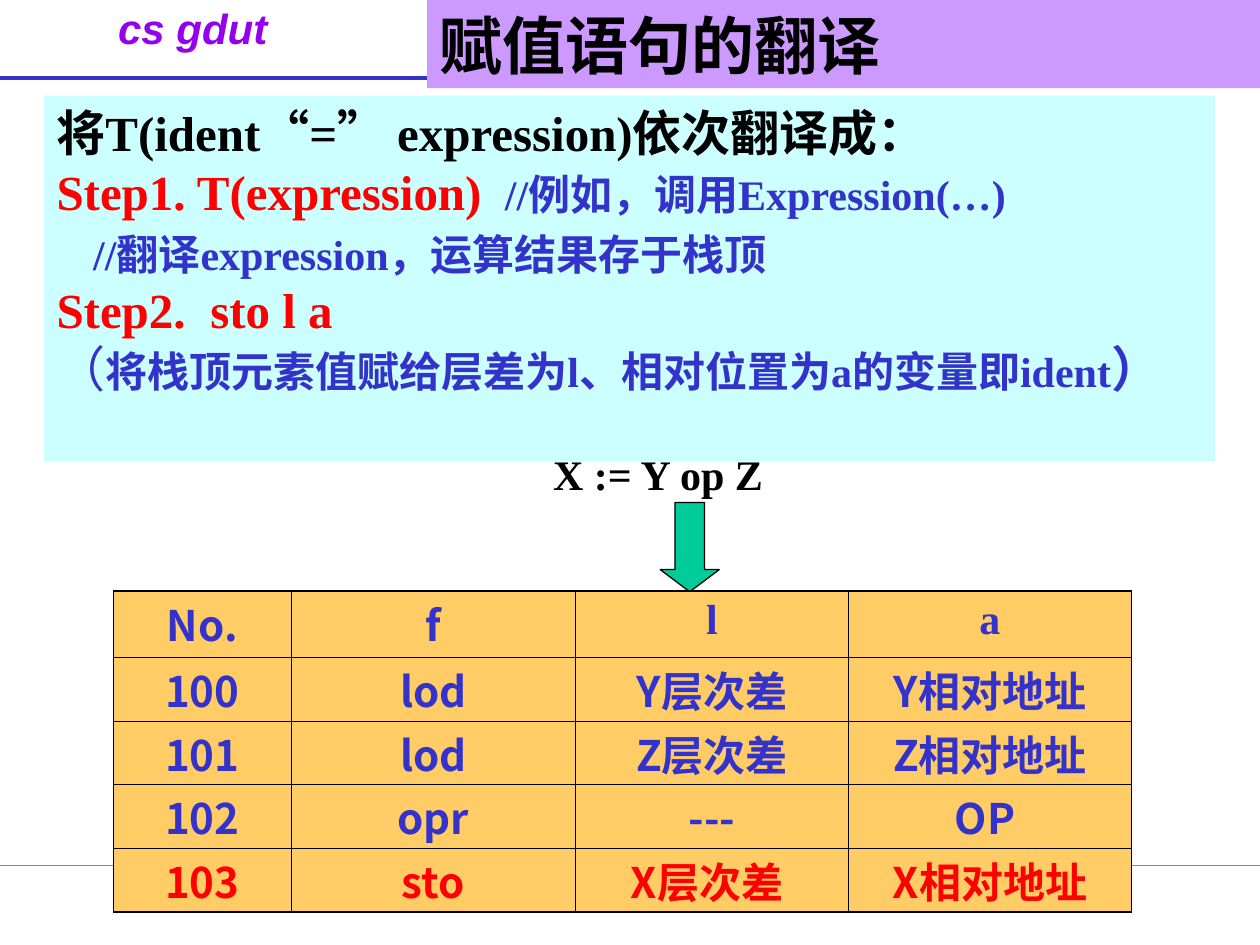
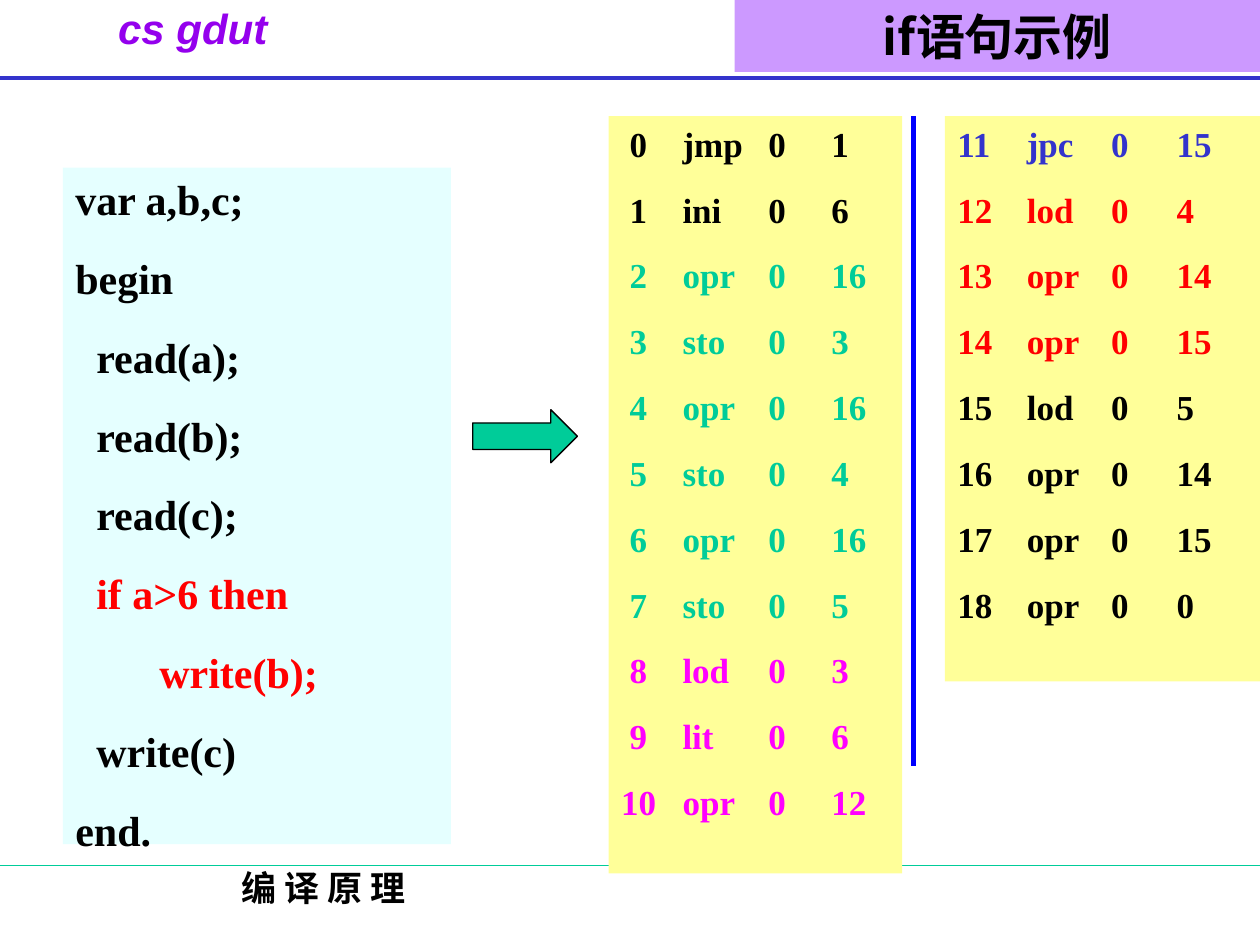
from dataclasses import dataclass

from lxml import etree
from pptx import Presentation
from pptx.dml.color import RGBColor
from pptx.enum.shapes import MSO_CONNECTOR, MSO_SHAPE
from pptx.enum.text import MSO_ANCHOR, MSO_AUTO_SIZE, PP_ALIGN
from pptx.oxml.ns import qn
from pptx.util import Cm, Pt

RECT, DOWN, RIGHT = MSO_SHAPE.RECTANGLE, MSO_SHAPE.DOWN_ARROW, MSO_SHAPE.RIGHT_ARROW
STRAIGHT = MSO_CONNECTOR.STRAIGHT
TOP, MIDDLE = MSO_ANCHOR.TOP, MSO_ANCHOR.MIDDLE
LEFT, CENTER = PP_ALIGN.LEFT, PP_ALIGN.CENTER
FIXED = MSO_AUTO_SIZE.NONE


@dataclass(frozen=True)
class Theme:
    black: str = "000000"
    red: str = "FF0000"
    blue: str = "3333CC"
    green: str = "00CC99"
    pink: str = "FF00FF"
    violet: str = "9400ED"
    band: str = "CC99FF"
    aqua: str = "CCFFFF"
    yellow: str = "FFFF99"
    orange: str = "FFCC66"
    divide: str = "0000FF"
    serif: str = "Times New Roman"
    sans: str = "Arial"
    han: str = "Noto Sans CJK SC"
    title: int = 36
    head: int = 28
    body: int = 24
    small: int = 20


T = Theme()


def write(para, parts, font=T.serif, tabs=(), align=LEFT):
    """Fill a paragraph with (text, size, colour) runs and tab stops in cm."""
    para.alignment = align
    if tabs:
        stops = etree.SubElement(para._p.get_or_add_pPr(), qn("a:tabLst"))
        for stop in tabs:
            etree.SubElement(stops, qn("a:tab"), pos=str(Cm(stop)), algn="l")
    for text, size, color in parts:
        run = para.add_run()
        run.text = text
        run.font.name, run.font.size, run.font.bold = font, Pt(size), True
        run.font.color.rgb = RGBColor.from_string(color)
        etree.SubElement(run.font._element, qn("a:ea"), typeface=T.han)


def block(slide, box, fill=None, kind=RECT, line=None):
    """Add a shape, or a plain text box when there is no fill."""
    place = [Cm(n) for n in box]
    if fill is None:
        shape = slide.shapes.add_textbox(*place)
    else:
        shape = slide.shapes.add_shape(kind, *place)
        shape.shadow.inherit = False
        shape.fill.solid()
        shape.fill.fore_color.rgb = RGBColor.from_string(fill)
        if line:
            shape.line.color.rgb = RGBColor.from_string(line)
            shape.line.width = Pt(0.75)
        else:
            shape.line.fill.background()
    shape.text_frame.word_wrap = True
    shape.text_frame.vertical_anchor = TOP
    return shape


deck = Presentation()
deck.slide_width, deck.slide_height = Cm(25.4), Cm(19.05)
layout = deck.slide_layouts[5]

# Titles
titles = [
    ("赋值语句的翻译", (8.61, 0, 16.79, 1.78), T.title, T.serif, LEFT),
    ("if语句示例", (14.81, 0, 10.59, 1.45), T.head, T.han, CENTER),
]
slides = []
for text, box, size, font, align in titles:
    slide = deck.slides.add_slide(layout)
    title = slide.shapes.title
    title.left, title.top, title.width, title.height = [Cm(n) for n in box]
    title.fill.solid()
    title.fill.fore_color.rgb = RGBColor.from_string(T.band)
    frame = title.text_frame
    frame.auto_size, frame.vertical_anchor = FIXED, MIDDLE
    write(frame.paragraphs[0], [(text, size, T.black)], font, align=align)
    slides.append(slide)
assign, sample = slides

# Shared header and footer, kept on the layout
mark = block(assign, (0.48, -0.08, 6.81, 1.57))
write(mark.text_frame.paragraphs[0], [("cs gdut", T.body, T.violet)], T.sans, align=CENTER)
mark.text_frame.paragraphs[0].runs[0].font.italic = True
foot = block(assign, (1.27, 17.25, 10.52, 1.27))
foot.text_frame.vertical_anchor = MIDDLE
write(foot.text_frame.paragraphs[0], [("编 译 原 理", T.small, T.black)], align=CENTER)
shared = [mark, foot]

rules = [
    (assign, (0, 1.57, 25.4, 1.57), T.blue, 2.25),
    (assign, (0, 17.45, 25.4, 17.45), T.green, 0.75),
    (sample, (18.42, 2.34, 18.42, 15.44), T.divide, 3),
]
for slide, ends, color, width in rules:
    rule = slide.shapes.add_connector(STRAIGHT, *[Cm(n) for n in ends])
    rule.line.color.rgb = RGBColor.from_string(color)
    rule.line.width = Pt(width)
    etree.SubElement(rule._element.spPr, qn("a:effectLst"))
    if slide is assign:
        shared.append(rule)
for part in shared:
    layout.shapes._spTree.append(part._element)

# Slide 1: translation steps
steps = [
    ([("将T(ident“=” expression)依次翻译成：", T.head, T.black)], ()),
    ([("Step1. T(expression)\t", T.head, T.red),
      ("//例如，调用Expression(…)", T.body, T.blue)], (9.04,)),
    ([("//翻译expression，运算结果存于栈顶", T.body, T.blue)], ()),
    ([("Step2.\tsto l a", T.head, T.red)], (3.1,)),
    ([("（", T.head, T.blue),
      ("将栈顶元素值赋给层差为l、相对位置为a的变量即ident", T.body, T.blue),
      ("）", T.head, T.blue)], ()),
]
frame = block(assign, (0.89, 1.93, 23.6, 7.37), T.aqua).text_frame
for i, (parts, tabs) in enumerate(steps):
    para = frame.add_paragraph() if i else frame.paragraphs[0]
    write(para, parts, tabs=tabs)
    para.line_spacing = Pt(33.8)
frame.paragraphs[2]._p.get_or_add_pPr().set("marL", str(Cm(0.74)))
frame.paragraphs[4].runs[0].font.bold = False

form = block(assign, (10.9, 8.92, 4.8, 1.27))
write(form.text_frame.paragraphs[0], [("X := Y op Z", T.body, T.black)])
arrow = block(assign, (13.31, 10.13, 1.19, 1.8), T.green, DOWN, T.black)
arrow.adjustments[1] = 0.375

# Slide 1: instruction table
rows = [
    ("No.", "f", "l", "a"),
    ("100", "lod", "Y层次差", "Y相对地址"),
    ("101", "lod", "Z层次差", "Z相对地址"),
    ("102", "opr", "---", "OP "),
    ("103", "sto", "X层次差 ", "X相对地址"),
]
widths = (3.58, 5.73, 5.5, 5.71)
heights = (1.35,) + (1.28,) * 4
table = assign.shapes.add_table(
    len(rows), len(widths), Cm(2.29), Cm(11.91), Cm(sum(widths)), Cm(sum(heights))).table
table.first_row = table.horz_banding = False
for col, width in zip(table.columns, widths):
    col.width = Cm(width)
for row, height in zip(table.rows, heights):
    row.height = Cm(height)
last = len(rows) - 1
for r, row in enumerate(rows):
    for c, text in enumerate(row):
        cell = table.cell(r, c)
        cell.fill.solid()
        cell.fill.fore_color.rgb = RGBColor.from_string(T.orange)
        font = T.serif if r == 0 and c > 1 else T.han
        if font == T.han:
            cell.margin_top, cell.margin_bottom = Cm(0.03), 0
        color = T.red if r == last else T.blue
        write(cell.text_frame.paragraphs[0], [(text, T.body, color)], font, align=CENTER)
        outer = {"L": c == 0, "R": c == len(row) - 1, "T": r == 0, "B": r == last}
        for i, (side, edge) in enumerate(outer.items()):
            line = etree.Element(qn("a:ln" + side), w=str(Pt(1.08 if edge else 0.45)))
            paint = etree.SubElement(line, qn("a:solidFill"))
            etree.SubElement(paint, qn("a:srgbClr"), val=T.black)
            cell._tc.get_or_add_tcPr().insert(i, line)

# Slide 2: source program
code = [
    ("var a,b,c;", T.black),
    ("begin", T.black),
    ("  read(a);", T.black),
    ("  read(b);", T.black),
    ("  read(c);", T.black),
    ("  if a>6 then", T.red),
    ("　　write(b);", T.red),
    ("  write(c)", T.black),
    ("end.", T.black),
]
panel = block(sample, (1.27, 3.38, 7.82, 13.64), T.aqua)
tint = panel._element.spPr.find(qn("a:solidFill"))[0]
etree.SubElement(tint, qn("a:alpha"), val="50000")
for i, (text, color) in enumerate(code):
    para = panel.text_frame.add_paragraph() if i else panel.text_frame.paragraphs[0]
    write(para, [(text, T.body, color)])
    if i:
        para.space_before = Pt(16.2)

block(sample, (9.53, 8.26, 2.11, 1.07), T.green, RIGHT, T.black)

# Slide 2: generated instructions, numbered from 0
ops = [
    ("jmp", 1, T.black), ("ini", 6, T.black),
    ("opr", 16, T.green), ("sto", 3, T.green), ("opr", 16, T.green),
    ("sto", 4, T.green), ("opr", 16, T.green), ("sto", 5, T.green),
    ("lod", 3, T.pink), ("lit", 6, T.pink), ("opr", 12, T.pink),
    ("jpc", 15, T.blue),
    ("lod", 4, T.red), ("opr", 14, T.red), ("opr", 15, T.red),
    ("lod", 5, T.black), ("opr", 14, T.black), ("opr", 15, T.black), ("opr", 0, T.black),
]
lists = [
    ((12.27, 2.34, 5.92, 15.27), 0, 11, (1.24, 2.97, 4.24)),
    ((19.05, 2.34, 6.35, 11.4), 11, len(ops), (1.4, 3.1, 4.42)),
]
for box, first, end, tabs in lists:
    frame = block(sample, box, T.yellow).text_frame
    for n in range(first, end):
        name, value, color = ops[n]
        para = frame.add_paragraph() if n > first else frame.paragraphs[0]
        write(para, [(f"{n:>2}\t{name}\t0\t{value}", T.small, color)], tabs=tabs)
        if n > first:
            para.space_before = Pt(13.6)

deck.save("out.pptx")
